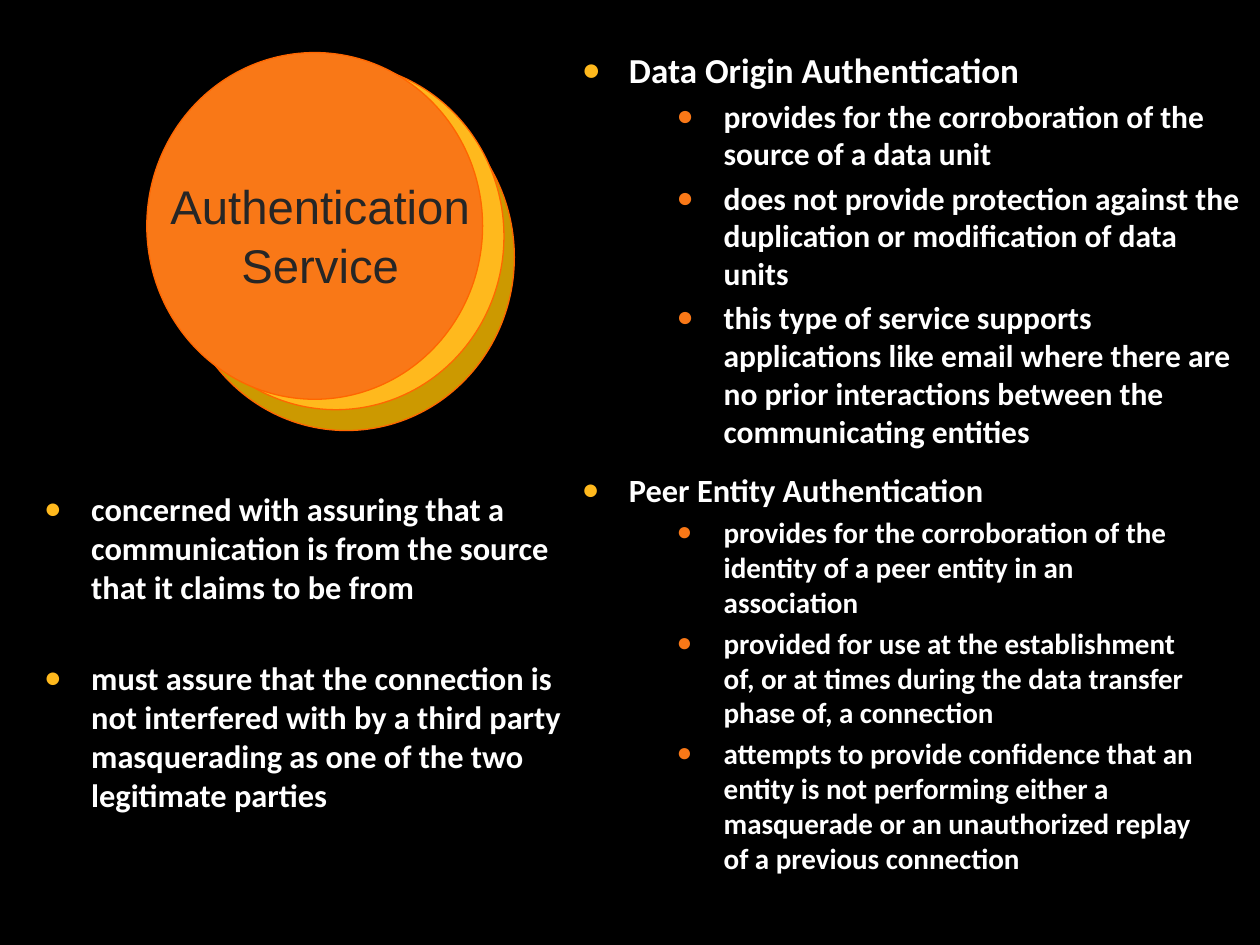
from dataclasses import dataclass

from lxml import etree
from pptx import Presentation
from pptx.dml.color import RGBColor
from pptx.enum import shapes, text
from pptx.oxml.ns import qn
from pptx.util import Cm, Pt

HEADING_BULLET = "FFB91D"
DETAIL_BULLET = "F97817"
HANGING_INDENT = Cm(0.95)
DETAIL_INDENT = Cm(2.86)


@dataclass
class Disc:
    left: float
    top: float
    fill: str


@dataclass
class Point:
    wording: str
    size: float
    detail: bool = False
    space_before: float = 3.6


@dataclass
class PointList:
    left: float
    top: float
    width: float
    height: float
    points: list[Point]


def details(size: float, *wordings: str) -> list[Point]:
    return [Point(wording, size, True, size / 5) for wording in wordings]


DISCS = [
    Disc(3.6, 1.69, "CC9900"),
    Disc(3.39, 1.27, "FFB91D"),
    Disc(2.96, 1.06, "F97817"),
]

POINT_LISTS = [
    PointList(0.64, 9.74, 10.92, 9.31, [
        Point("concerned with assuring that a communication is from the source "
              "that it claims to be from", 18.5),
        Point("must assure that the connection is not interfered with by a third "
              "party masquerading as one of the two legitimate parties", 18.5,
              space_before=30),
    ]),
    PointList(11.48, 9.35, 12.9, 9.31, [
        Point("Peer Entity Authentication", 18.5),
        *details(
            16.6,
            "provides for the corroboration of the identity of a peer entity in "
            "an association",
            "provided for use at the establishment of, or at times during the "
            "data transfer phase of, a connection",
            "attempts to provide confidence that an entity is not performing "
            "either a masquerade or an unauthorized replay of a previous connection",
        ),
    ]),
    PointList(11.48, 0.85, 13.77, 8.5, [
        Point("Data Origin Authentication", 20),
        *details(
            18,
            "provides for the corroboration of the source of a data unit",
            "does not provide protection against the duplication or modification "
            "of data units",
            "this type of service supports applications like email where there "
            "are no prior interactions between the communicating entities",
        ),
    ]),
]


def rgb(value: str) -> RGBColor:
    return RGBColor.from_string(value)


def format_runs(paragraph, font_name: str, size: float, color: str, bold: bool) -> None:
    for run in paragraph.runs:
        run.font.name = font_name
        run.font.size = Pt(size)
        run.font.bold = bold
        run.font.color.rgb = rgb(color)


def add_bullet(paragraph, detail: bool) -> None:
    properties = paragraph._p.get_or_add_pPr()
    properties.set("marL", str(DETAIL_INDENT if detail else HANGING_INDENT))
    properties.set("indent", str(-HANGING_INDENT))
    color = etree.SubElement(properties, qn("a:buClr"))
    etree.SubElement(color, qn("a:srgbClr"),
                     val=DETAIL_BULLET if detail else HEADING_BULLET)
    etree.SubElement(properties, qn("a:buSzPct"), val="90000")
    etree.SubElement(properties, qn("a:buFont"), typeface="Arial")
    etree.SubElement(properties, qn("a:buChar"), char="●")


def draw_disc(slide, disc: Disc) -> None:
    circle = slide.shapes.add_shape(shapes.MSO_SHAPE.OVAL, Cm(disc.left),
                                    Cm(disc.top), Cm(6.77), Cm(6.99))
    circle.shadow.inherit = False
    circle.fill.solid()
    circle.fill.fore_color.rgb = rgb(disc.fill)
    circle.line.color.rgb = rgb("FF6600")
    circle.line.width = Pt(0.75)


def draw_title(slide) -> None:
    """Place the title over the discs, in front of them."""
    title = slide.shapes.title
    title.left, title.top, title.width, title.height = (
        Cm(3.18), Cm(3.45), Cm(6.55), Cm(2.57))
    frame = title.text_frame
    frame.text = "Authentication\nService"
    frame.word_wrap = True
    frame.auto_size = text.MSO_AUTO_SIZE.NONE
    frame.vertical_anchor = text.MSO_ANCHOR.MIDDLE
    frame.margin_left = frame.margin_right = Cm(0.1)
    for paragraph in frame.paragraphs:
        paragraph.alignment = text.PP_ALIGN.CENTER
        format_runs(paragraph, "Arial", 27, "262626", False)
    frame.paragraphs[1].space_before = Pt(1.5)
    slide.shapes._spTree.append(title._element)


def draw_points(slide, block: PointList) -> None:
    box = slide.shapes.add_textbox(Cm(block.left), Cm(block.top),
                                   Cm(block.width), Cm(block.height))
    frame = box.text_frame
    frame.word_wrap = True
    for index, point in enumerate(block.points):
        paragraph = frame.add_paragraph() if index else frame.paragraphs[0]
        paragraph.text = point.wording
        paragraph.level = 2 if point.detail else 0
        add_bullet(paragraph, point.detail)
        paragraph.space_before = Pt(point.space_before if index else 0)
        format_runs(paragraph, "Calibri", point.size, "FFFFFF", True)


def main() -> None:
    deck = Presentation()
    deck.slide_width, deck.slide_height = Cm(25.4), Cm(19.05)
    slide = deck.slides.add_slide(deck.slide_layouts.get_by_name("Title Only"))
    slide.background.fill.solid()
    slide.background.fill.fore_color.rgb = rgb("000000")
    for disc in DISCS:
        draw_disc(slide, disc)
    draw_title(slide)
    for block in POINT_LISTS:
        draw_points(slide, block)
    deck.save("out.pptx")


if __name__ == "__main__":
    main()
